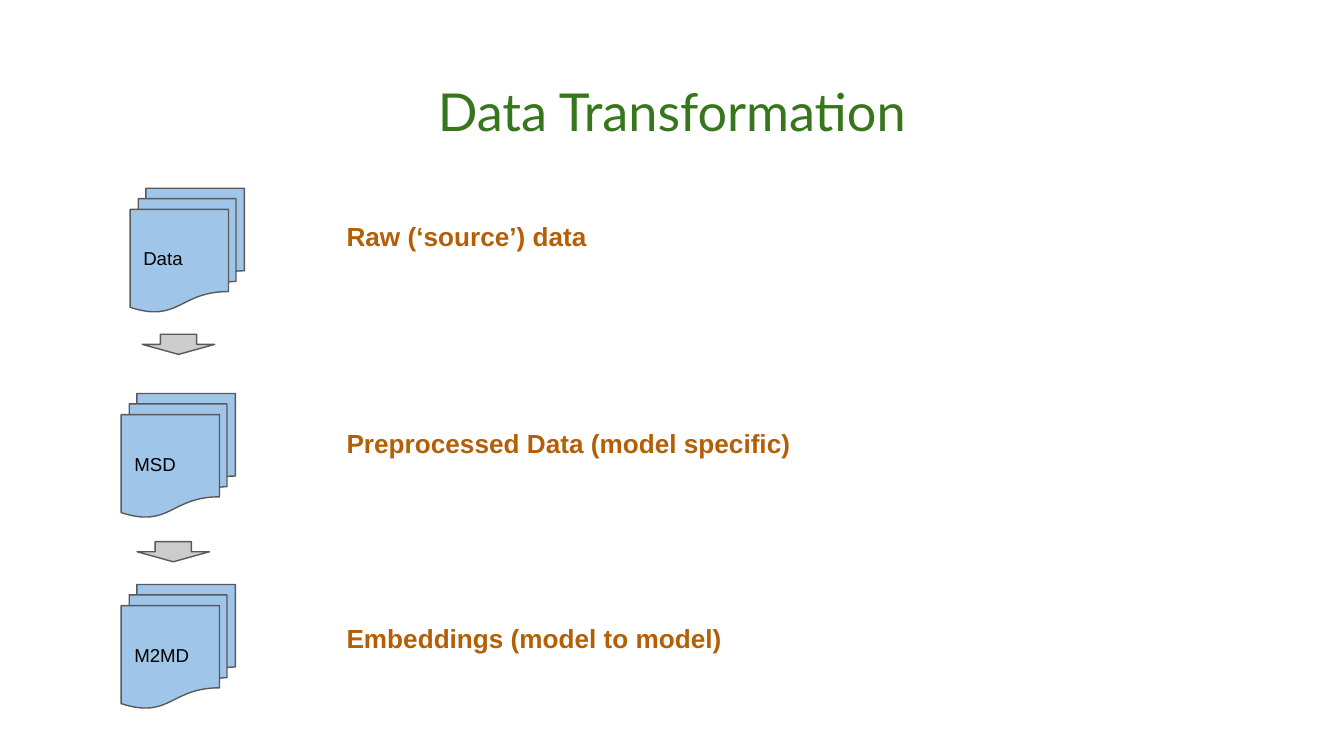
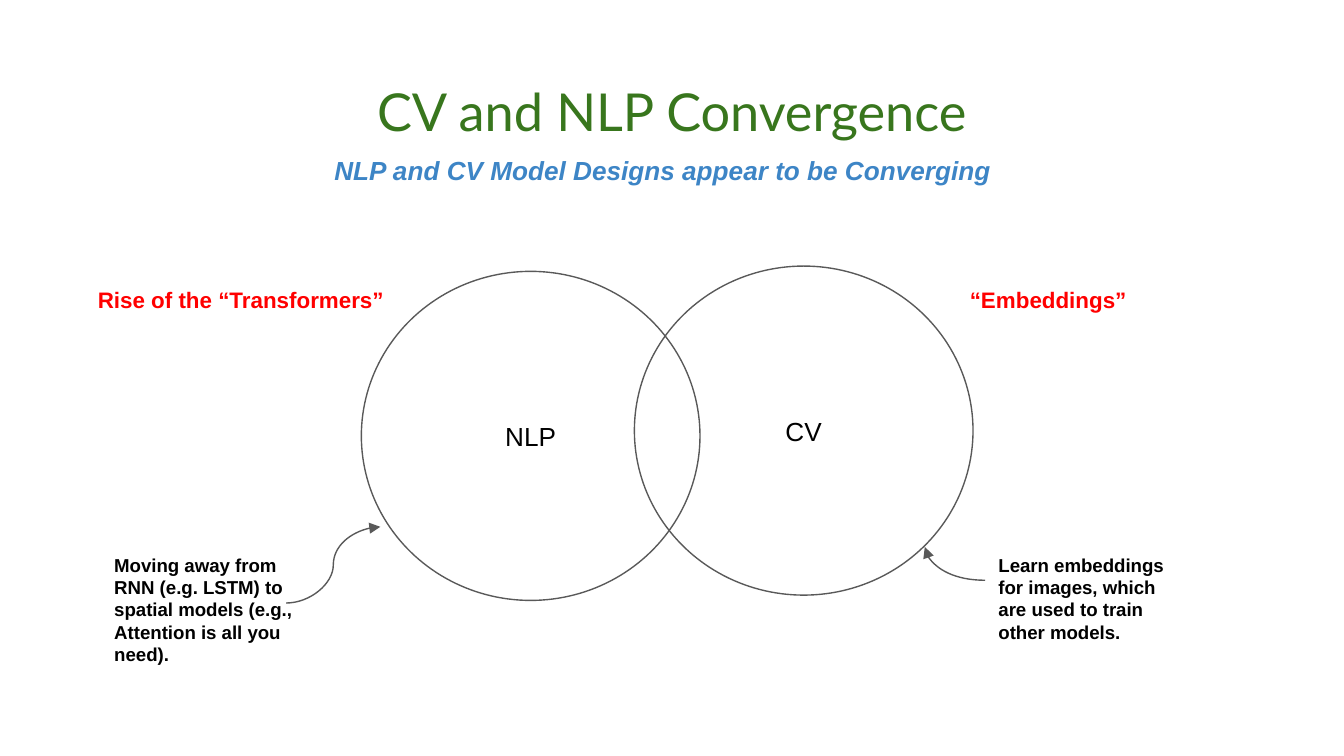
"""Build two slides on data transformation and the convergence of CV and NLP."""
from dataclasses import dataclass

from lxml.etree import SubElement
from pptx import Presentation
from pptx.dml.color import RGBColor
from pptx.enum.shapes import MSO_CONNECTOR, MSO_SHAPE
from pptx.enum.text import MSO_ANCHOR, PP_ALIGN
from pptx.oxml.ns import qn
from pptx.shapes.autoshape import Shape
from pptx.slide import Slide
from pptx.util import Cm, Pt

COLORS = {
    "title": "38761D",
    "stage": "B45F06",
    "subtitle": "3D85C6",
    "heading": "FF0000",
    "text": "000000",
    "outline": "595959",
    "document": "9FC5E8",
    "arrow": "CCCCCC",
}
OUTLINE_WIDTH = Pt(0.75)
INSET = Cm(0.25)


@dataclass(frozen=True)
class Style:
    size: int
    color: str = "text"
    bold: bool = False
    italic: bool = False
    font: str = "Arial"
    align: PP_ALIGN = PP_ALIGN.LEFT


@dataclass(frozen=True)
class Area:
    left: float
    top: float
    width: float
    height: float

    def lengths(self) -> tuple[Cm, Cm, Cm, Cm]:
        """Return the four measures as lengths."""
        return Cm(self.left), Cm(self.top), Cm(self.width), Cm(self.height)


@dataclass(frozen=True)
class Stage:
    name: str
    label: str
    document_left: float
    document_top: float
    label_top: float
    label_width: float


@dataclass(frozen=True)
class Topic:
    name: str
    heading: str
    note: str
    circle_left: float
    circle_top: float
    heading_left: float
    note_left: float


@dataclass(frozen=True)
class Curve:
    preset: str
    start: tuple[float, float]
    end: tuple[float, float]


TITLE = Style(28, "title", font="Lato", align=PP_ALIGN.CENTER)
SUBTITLE = Style(14, "subtitle", bold=True, italic=True)
STAGE_LABEL = Style(14, "stage", bold=True)
DOCUMENT_NAME = Style(10)
CIRCLE_NAME = Style(14, align=PP_ALIGN.CENTER)
HEADING = Style(12, "heading", bold=True)
NOTE = Style(10, bold=True)

STAGES = (
    Stage("Data", "Raw (‘source’) data", 2.46, 3.56, 3.91, 7.59),
    Stage("MSD", "Preprocessed Data (model specific)", 2.29, 7.44, 7.82, 9.93),
    Stage("M2MD", "Embeddings (model to model)", 2.29, 11.05, 11.51, 9.93),
)
STAGE_ARROWS = (Area(2.69, 6.32, 1.37, 0.38), Area(2.59, 10.24, 1.37, 0.38))
TOPICS = (
    Topic("NLP", "Rise of the “Transformers”",
          "Moving away from RNN (e.g. LSTM) to spatial models (e.g., "
          "Attention is all you need).", 6.83, 5.13, 1.6, 1.91),
    Topic("CV", "“Embeddings”",
          "Learn embeddings for images, which are used to train other models.",
          11.99, 5.03, 18.08, 18.62),
)
CURVES = (
    Curve("curvedConnector3", (5.41, 11.4), (7.19, 9.96)),
    Curve("curvedConnector2", (18.62, 10.97), (17.48, 10.34)),
)


def write(box: Shape, text: str, style: Style, anchor: MSO_ANCHOR) -> None:
    """Put one styled paragraph into a box."""
    frame = box.text_frame
    frame.word_wrap = True
    frame.vertical_anchor = anchor
    frame.margin_left = frame.margin_right = INSET
    frame.margin_top = frame.margin_bottom = INSET
    paragraph = frame.paragraphs[0]
    paragraph.text = text
    paragraph.alignment = style.align
    font = paragraph.font
    font.name = style.font
    font.size = Pt(style.size)
    font.bold = style.bold
    font.italic = style.italic
    font.color.rgb = RGBColor.from_string(COLORS[style.color])


def add_text(page: Slide, area: Area, text: str, style: Style) -> None:
    """Add a text box."""
    box = page.shapes.add_textbox(*area.lengths())
    write(box, text, style, MSO_ANCHOR.TOP)


def add_figure(page: Slide, kind: MSO_SHAPE, area: Area, fill: str | None = None) -> Shape:
    """Add an outlined shape, filled when a colour is named."""
    figure = page.shapes.add_shape(kind, *area.lengths())
    figure.shadow.inherit = False
    if fill:
        figure.fill.solid()
        figure.fill.fore_color.rgb = RGBColor.from_string(COLORS[fill])
    else:
        figure.fill.background()
    figure.line.color.rgb = RGBColor.from_string(COLORS["outline"])
    figure.line.width = OUTLINE_WIDTH
    return figure


def add_curve(page: Slide, curve: Curve) -> None:
    """Add a curved connector with an arrowhead at its end."""
    points = (Cm(value) for value in (*curve.start, *curve.end))
    connector = page.shapes.add_connector(MSO_CONNECTOR.CURVE, *points)
    connector.line.color.rgb = RGBColor.from_string(COLORS["outline"])
    connector.line.width = OUTLINE_WIDTH
    properties = connector._element.spPr
    properties.find(qn("a:prstGeom")).set("prst", curve.preset)
    SubElement(properties.find(qn("a:ln")), qn("a:tailEnd"), type="triangle")
    SubElement(properties, qn("a:effectLst"))


def add_page(deck: Presentation, title: str) -> Slide:
    """Add a blank page with the shared title."""
    page = deck.slides.add_slide(deck.slide_layouts[6])
    add_text(page, Area(0.86, 1.24, 23.67, 1.6), title, TITLE)
    return page


def build_transformation(deck: Presentation) -> None:
    """Draw the stages of the data from source to embeddings."""
    page = add_page(deck, "Data Transformation")
    for stage in STAGES:
        area = Area(stage.document_left, stage.document_top, 2.16, 2.34)
        document = add_figure(page, MSO_SHAPE.FLOWCHART_MULTIDOCUMENT, area, "document")
        write(document, stage.name, DOCUMENT_NAME, MSO_ANCHOR.MIDDLE)
        label_area = Area(6.3, stage.label_top, stage.label_width, 1.09)
        add_text(page, label_area, stage.label, STAGE_LABEL)
    for area in STAGE_ARROWS:
        add_figure(page, MSO_SHAPE.DOWN_ARROW, area, "arrow")


def build_convergence(deck: Presentation) -> None:
    """Draw the two overlapping fields and their notes."""
    page = add_page(deck, "CV and NLP Convergence")
    add_text(page, Area(6.07, 2.67, 13.26, 1.47),
             "NLP and CV Model Designs appear to be Converging", SUBTITLE)
    for topic in TOPICS:
        area = Area(topic.circle_left, topic.circle_top, 6.4, 6.22)
        circle = add_figure(page, MSO_SHAPE.OVAL, area)
        write(circle, topic.name, CIRCLE_NAME, MSO_ANCHOR.MIDDLE)
        add_text(page, Area(topic.heading_left, 5.16, 6.91, 1.07), topic.heading, HEADING)
        add_text(page, Area(topic.note_left, 10.21, 4.06, 2.74), topic.note, NOTE)
    for curve in CURVES:
        add_curve(page, curve)


def main() -> None:
    """Build and save the deck."""
    deck = Presentation()
    deck.slide_width = Cm(25.4)
    deck.slide_height = Cm(14.29)
    build_transformation(deck)
    build_convergence(deck)
    deck.save("out.pptx")


if __name__ == "__main__":
    main()
